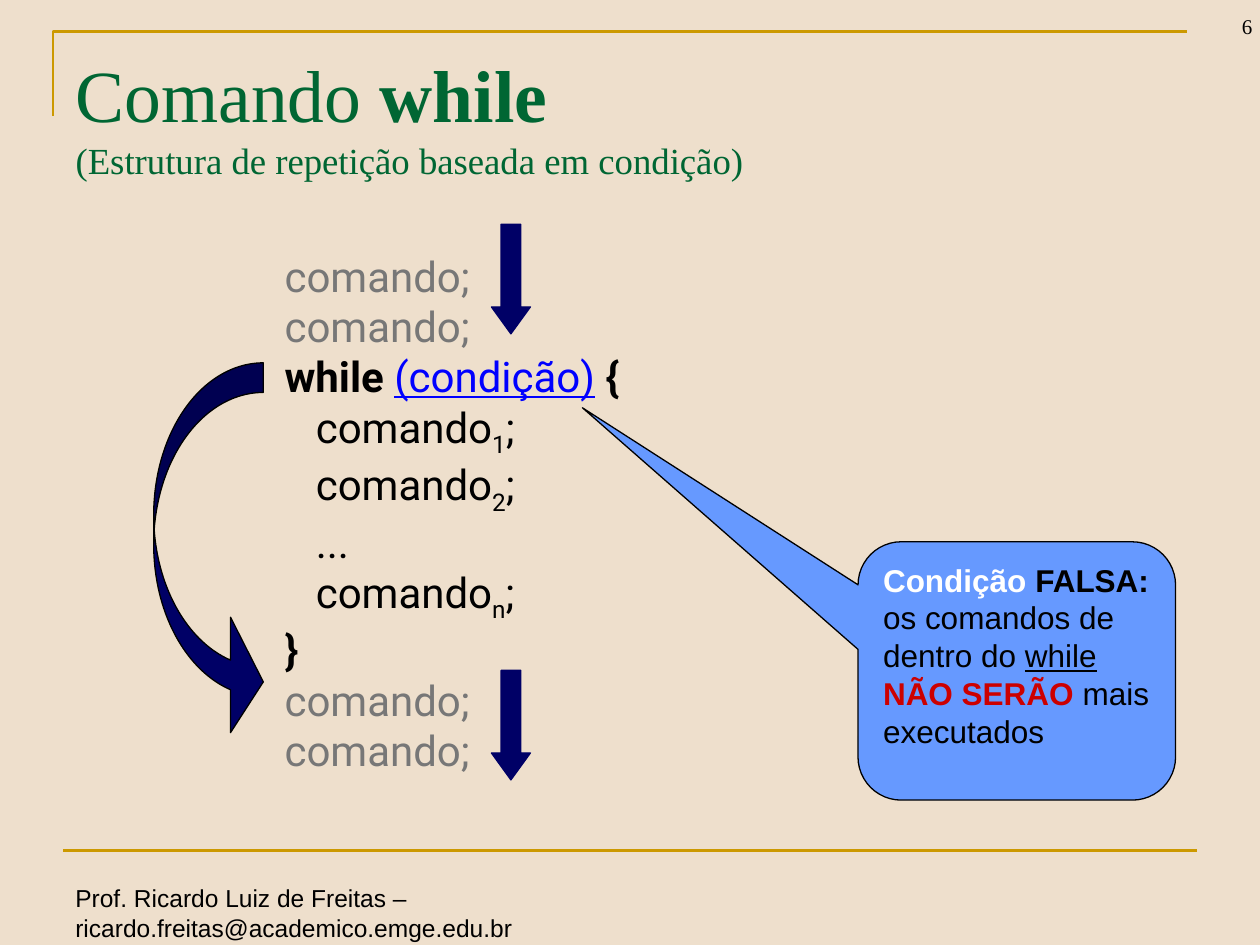
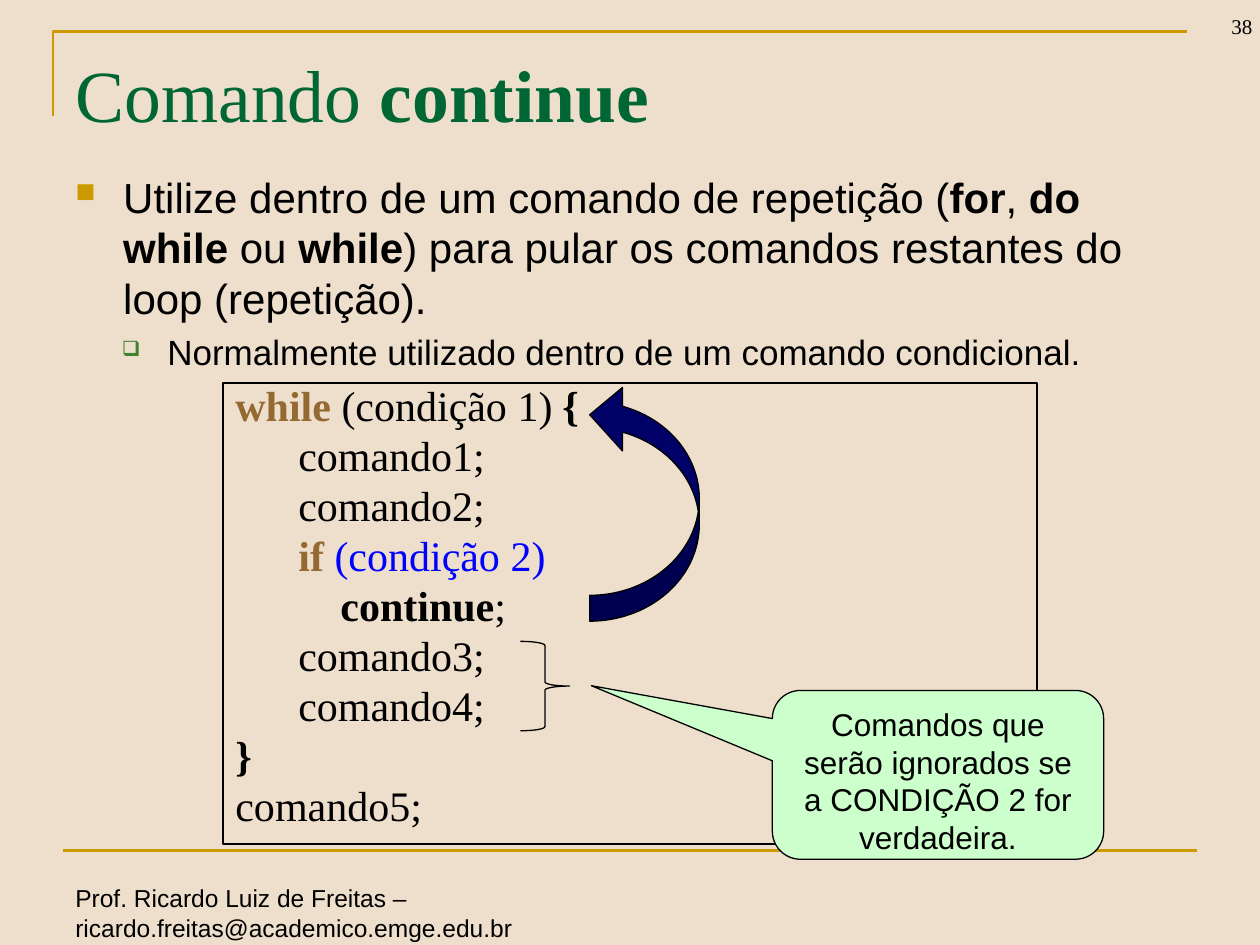
from lxml import etree
from pptx import Presentation
from pptx.dml.color import RGBColor
from pptx.enum.shapes import MSO_CONNECTOR, MSO_SHAPE
from pptx.enum.text import MSO_ANCHOR, MSO_AUTO_SIZE, PP_ALIGN
from pptx.oxml.ns import qn
from pptx.util import Inches, Pt

LEFT, CENTER, RIGHT = PP_ALIGN.LEFT, PP_ALIGN.CENTER, PP_ALIGN.RIGHT
TOP, BOTTOM = MSO_ANCHOR.TOP, MSO_ANCHOR.BOTTOM
NO_AUTOFIT = MSO_AUTO_SIZE.NONE
STRAIGHT = MSO_CONNECTOR.STRAIGHT
RECTANGLE, BRACE = MSO_SHAPE.RECTANGLE, MSO_SHAPE.RIGHT_BRACE
DOWN_ARROW, CURVED_ARROW = MSO_SHAPE.DOWN_ARROW, MSO_SHAPE.CURVED_RIGHT_ARROW
CALLOUT = MSO_SHAPE.ROUNDED_RECTANGULAR_CALLOUT

SAND = RGBColor(0xEE, 0xDF, 0xCC)
GOLD = RGBColor(0xCC, 0x99, 0x00)
GREEN = RGBColor(0x00, 0x66, 0x33)
LEAF = RGBColor(0x3B, 0x81, 0x2F)
MINT = RGBColor(0xCC, 0xFF, 0xCC)
NAVY = RGBColor(0x00, 0x00, 0x66)
SKY = RGBColor(0x66, 0x99, 0xFF)
BLUE = RGBColor(0x00, 0x00, 0xFF)
RED = RGBColor(0xCC, 0x00, 0x00)
BROWN = RGBColor(0x94, 0x6A, 0x32)
GRAY = RGBColor(0x77, 0x77, 0x77)
BLACK = RGBColor(0x00, 0x00, 0x00)
WHITE = RGBColor(0xFF, 0xFF, 0xFF)

SANS, SERIF, CODE = "Arial", "Times New Roman", "Roboto"
COLUMNS, ROWS = 100, 75
FOOTER = "Prof. Ricardo Luiz de Freitas – ricardo.freitas@academico.emge.edu.br"
TIGHT = {"line_spacing": 0.8, "space_before": 5.5}


def styled(text, **style):
    """Pair a piece of text with the style that sets it apart."""
    return text, style


def bold(text, **style):
    """Pair a piece of text with a bold style."""
    return styled(text, bold=True, **style)


class Deck:
    """Holds the presentation, its shared style and the current slide."""

    def __init__(self):
        """Start an empty presentation on a grid of columns and rows."""
        self.presentation = Presentation()
        self.presentation.slide_width = Inches(10)
        self.presentation.slide_height = Inches(7.5)
        self.slide = None

    def x(self, columns):
        """Convert columns to a length."""
        return round(self.presentation.slide_width * columns / COLUMNS)

    def y(self, rows):
        """Convert rows to a length."""
        return round(self.presentation.slide_height * rows / ROWS)

    def box(self, left, top, width, height):
        """Convert a grid rectangle to lengths."""
        return self.x(left), self.y(top), self.x(width), self.y(height)

    def add_slide(self, number, title):
        """Add a slide with its background, frame, footer, number and title."""
        self.slide = self.presentation.slides.add_slide(self.presentation.slide_layouts[5])
        self.slide.background.fill.solid()
        self.slide.background.fill.fore_color.rgb = SAND
        self.corner()
        self.rule()
        self.text((5, 69.6, 45, 5.4), [[FOOTER]], SANS, 14)
        frame = self.text((92.5, 0, 7.5, 3.6), [[number]], SERIF, 12, align=RIGHT, anchor=BOTTOM)
        frame.margin_right = self.x(0.6)
        self.title(title)

    def title(self, runs):
        """Place and format the title placeholder."""
        shape = self.slide.shapes.title
        shape.left, shape.top, shape.width, shape.height = self.box(5, 3, 90, 12.5)
        self.fill_text(shape, [runs], SERIF, 42, GREEN)
        shape.text_frame.margin_top = self.y(0.9)

    def corner(self):
        """Draw the open corner above the title."""
        builder = self.slide.shapes.build_freeform(self.x(4.2), self.y(9.2))
        points = [(self.x(4.2), self.y(2.5)), (self.x(94.2), self.y(2.5))]
        builder.add_line_segments(points, close=False)
        self.paint(builder.convert_to_shape(), None, GOLD, 1.5)

    def rule(self):
        """Draw the line above the footer."""
        line = self.slide.shapes.add_connector(
            STRAIGHT, self.x(5), self.y(67.5), self.x(95), self.y(67.5))
        line.line.color.rgb = GOLD
        line.line.width = Pt(1.5)
        etree.SubElement(line._element.spPr, qn("a:effectLst"))

    def paint(self, shape, fill, line, width=0.75):
        """Set the fill and outline of a shape."""
        shape.shadow.inherit = False
        if fill is None:
            shape.fill.background()
        else:
            shape.fill.solid()
            shape.fill.fore_color.rgb = fill
        shape.line.color.rgb = line
        shape.line.width = Pt(width)

    def shape(self, kind, area, fill=None, line=BLACK, adjustments=(), rotation=0):
        """Add a preset shape."""
        shape = self.slide.shapes.add_shape(kind, *self.box(*area))
        for index, value in enumerate(adjustments):
            shape.adjustments[index] = value
        shape.rotation = rotation
        self.paint(shape, fill, line)
        return shape

    def callout(self, area, pointer, fill, runs, align=LEFT):
        """Add a rounded callout with one paragraph."""
        shape = self.shape(CALLOUT, area, fill, adjustments=(*pointer, 0.167))
        self.fill_text(shape, [runs], SANS, 18, align=align)

    def down_arrow(self, top):
        """Add a straight arrow that shows the flow of the program."""
        self.shape(DOWN_ARROW, (39, top, 3.1, 8.7), NAVY, NAVY, (0.5, 0.689))

    def jump_arrow(self, area, adjustments, rotation=0):
        """Add a curved arrow that shows a jump in the program."""
        self.shape(CURVED_ARROW, area, NAVY, BLACK, adjustments, rotation)

    def text(self, area, lines, font, size, **options):
        """Add a text box and return its text frame."""
        shape = self.slide.shapes.add_textbox(*self.box(*area))
        return self.fill_text(shape, lines, font, size, **options)

    def fill_text(self, shape, lines, font, size, color=BLACK, align=LEFT, anchor=TOP):
        """Fill a shape with paragraphs, each a list of runs."""
        frame = shape.text_frame
        frame.word_wrap = True
        frame.auto_size = NO_AUTOFIT
        frame.vertical_anchor = anchor
        for index, runs in enumerate(lines):
            paragraph = frame.paragraphs[0] if index == 0 else frame.add_paragraph()
            paragraph.alignment = align
            self.set_font(paragraph.font, name=font, size=size, color=color)
            for run in runs:
                self.add_run(paragraph, run)
        return frame

    def add_run(self, paragraph, item):
        """Add plain or styled text, or a line break, to a paragraph."""
        if item == "\n":
            paragraph.add_line_break()
            return
        text, style = (item, {}) if isinstance(item, str) else item
        run = paragraph.add_run()
        run.text = text
        self.set_font(run.font, **style)
        if style.get("subscript"):
            run._r.get_or_add_rPr().set("baseline", "-25000")

    def set_font(self, font, name=None, size=None, color=None, bold=None,
                 underline=None, subscript=False):
        """Apply the given settings to a font."""
        if name:
            font.name = name
        if size:
            font.size = Pt(size)
        if color is not None:
            font.color.rgb = color
        if bold is not None:
            font.bold = bold
        if underline is not None:
            font.underline = underline

    def space(self, paragraphs, line_spacing, space_before):
        """Set line spacing, and the space before all but the first paragraph."""
        for index, paragraph in enumerate(paragraphs):
            paragraph.line_spacing = line_spacing
            paragraph.space_before = Pt(space_before if index else 0)

    def bullet(self, paragraph, character, color, percent, margin, hanging):
        """Give a paragraph a coloured bullet and a hanging indent."""
        properties = paragraph._p.get_or_add_pPr()
        properties.set("marL", str(self.x(margin)))
        properties.set("indent", str(-self.x(hanging)))
        bullet_color = etree.Element(qn("a:buClr"))
        etree.SubElement(bullet_color, qn("a:srgbClr")).set("val", str(color))
        bullet_size = etree.Element(qn("a:buSzPct"))
        bullet_size.set("val", str(percent * 1000))
        bullet_character = etree.Element(qn("a:buChar"))
        bullet_character.set("char", character)
        default_font = properties.find(qn("a:defRPr"))
        for element in (bullet_color, bullet_size, bullet_character):
            default_font.addprevious(element)


def build_while(deck):
    """Build the slide about the while command."""
    deck.add_slide("6", ["Comando ", bold("while"), "\n",
                         styled("(Estrutura de repetição baseada em condição)", size=21)])
    outside = [styled("comando;", color=GRAY)]

    def numbered(index):
        """Return an indented command with a subscript."""
        return ["   comando", styled(index, subscript=True), ";"]

    frame = deck.text((21.6, 20.2, 73.2, 40.6), [
        outside, outside,
        [bold("while "), styled("(condição)", color=BLUE, underline=True), bold(" {")],
        numbered("1"), numbered("2"), ["   ..."], numbered("n"),
        [bold("}")], outside, outside], CODE, 24)
    deck.space(frame.paragraphs[:2], **TIGHT)
    deck.down_arrow(53.2)
    deck.callout((68.1, 43, 25.2, 20.5), (-1.368, -1.019), SKY, [
        bold("Condição", color=WHITE), bold(" FALSA: "), "os comandos de dentro do ",
        styled("while", underline=True), " ", bold("NÃO SERÃO", color=RED),
        " mais executados"])
    deck.jump_arrow((12.2, 28.8, 8.7, 29.9), (0.27, 1.053, 0.299))
    deck.down_arrow(17.8)


def build_continue(deck):
    """Build the slide about the continue command."""
    deck.add_slide("38", ["Comando ", bold("continue")])
    frame = deck.text((5, 13.1, 90, 25.5), [
        ["Utilize dentro de um comando de repetição (", bold("for"), ", ", bold("do while"),
         " ou ", bold("while"), ") para pular os comandos restantes do loop (repetição)."],
        ["Normalmente utilizado dentro de um comando condicional."]], SANS, 24)
    rule, detail = frame.paragraphs
    deck.bullet(rule, "■", GOLD, 65, 3.8, 3.8)
    deck.bullet(detail, "❑", LEAF, 60, 7.3, 3.6)
    detail.font.size = Pt(20)
    detail.space_before = Pt(4.5)

    code_box = deck.shape(RECTANGLE, (17.7, 30.4, 64.6, 36.6))
    frame = deck.fill_text(code_box, [
        [bold("while ", color=BROWN), "(condição 1)", styled(" ", name=SANS, size=20), bold("{")],
        ["      comando1;"],
        ["      comando2;"],
        ["      ", bold("if ", color=BROWN), styled("(condição 2)", color=BLUE)],
        ["          ", bold("continue"), ";"],
        ["      comando3;"],
        ["      comando4;"],
        [bold("}")],
        ["comando5;"]], SERIF, 24)
    deck.space(frame.paragraphs, **TIGHT)
    deck.jump_arrow((46.8, 30.4, 8.7, 18.9), (0.236, 0.579, 0.299), rotation=180)
    deck.shape(BRACE, (41.3, 50.9, 3.9, 7.1), adjustments=(0.083, 0.5))
    deck.callout((61.3, 54.8, 26.3, 13.4), (-1.046, -0.528), MINT,
                 ["Comandos que serão ignorados se a CONDIÇÃO 2 for verdadeira."], CENTER)


def main():
    """Build and save the presentation."""
    deck = Deck()
    build_while(deck)
    build_continue(deck)
    deck.presentation.save("out.pptx")


if __name__ == "__main__":
    main()
